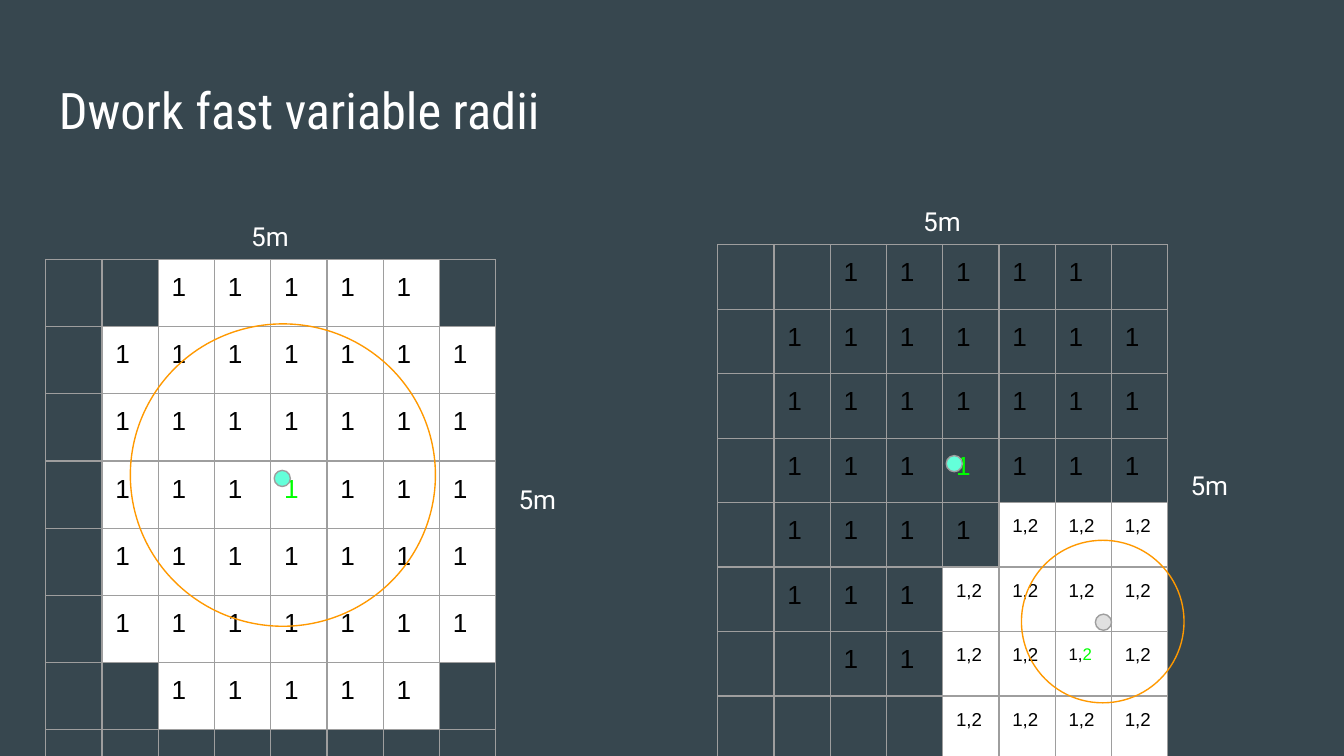
from lxml import etree
from pptx import Presentation
from pptx.dml.color import RGBColor
from pptx.enum import shapes
from pptx.oxml.ns import qn
from pptx.util import Inches, Pt

SLATE = RGBColor(0x37, 0x47, 0x4F)
WHITE = RGBColor(0xFF, 0xFF, 0xFF)
BLACK = RGBColor(0x00, 0x00, 0x00)
GREEN = RGBColor(0x00, 0xFF, 0x00)
GRAY = RGBColor(0x9E, 0x9E, 0x9E)
LIGHT_GRAY = RGBColor(0xE0, 0xE0, 0xE0)
AQUA = RGBColor(0x64, 0xFF, 0xDA)
ORANGE = RGBColor(0xFF, 0x99, 0x00)

# Symbol in a grid: (cell fill, runs of text, size and colour)
CELLS = {
    ".": (None, []),
    "d": (None, [("1", 14, BLACK)]),
    "D": (None, [("1", 14, GREEN)]),
    "w": (WHITE, [("1", 14, BLACK)]),
    "W": (WHITE, [("1", 14, GREEN)]),
    "b": (WHITE, [("1,2", 10, BLACK)]),
    "B": (WHITE, [("1,", 9, BLACK), ("2", 9, GREEN)]),
}
RIGHT_GRID = [
    "..ddddd.",
    ".ddddddd",
    ".ddddddd",
    ".dddDddd",
    ".ddddbbb",
    ".dddbbbb",
    "..ddbbBb",
    "....bbbb",
]
LEFT_GRID = [
    "..wwwww.",
    ".wwwwwww",
    ".wwwwwww",
    ".wwwWwww",
    ".wwwwwww",
    ".wwwwwww",
    "..wwwww.",
    "........",
]
# Grid, left, top, row height
PANELS = [
    (RIGHT_GRID, 5.34, 1.82, 0.48),
    (LEFT_GRID, 0.34, 1.93, 0.5),
]
GRID_WIDTH = 3.35
DOT = 0.12
# Left, top, width, height, fill, line
CIRCLES = [
    (8.15, 4.57, DOT, DOT, LIGHT_GRAY, GRAY),
    (0.97, 2.41, 2.27, 2.25, None, ORANGE),
    (7.6, 4.02, 1.21, 1.21, None, ORANGE),
]


def add_runs(paragraph, runs, font_name):
    for text, size, color in runs:
        run = paragraph.add_run()
        run.text = text
        run.font.name = font_name
        run.font.size = Pt(size)
        run.font.color.rgb = color


def add_text(slide, box, text, size, font_name):
    frame = slide.shapes.add_textbox(*map(Inches, box)).text_frame
    frame.word_wrap = True
    frame.margin_top = frame.margin_bottom = Inches(0.1)
    add_runs(frame.paragraphs[0], [(text, size, WHITE)], font_name)


def add_borders(cell):
    properties = cell._tc.get_or_add_tcPr()
    for position, side in enumerate(("lnL", "lnR", "lnT", "lnB")):
        line = etree.Element(qn(f"a:{side}"), w=str(Pt(0.75)))
        fill = etree.SubElement(line, qn("a:solidFill"))
        etree.SubElement(fill, qn("a:srgbClr"), val=str(GRAY))
        properties.insert(position, line)


def fill_cell(cell, symbol):
    fill, runs = CELLS[symbol]
    cell.margin_top = cell.margin_bottom = Inches(0.1)
    if fill is None:
        cell.fill.background()
    else:
        cell.fill.solid()
        cell.fill.fore_color.rgb = fill
    paragraph = cell.text_frame.paragraphs[0]
    add_runs(paragraph, runs, "Arial")
    if not runs:  # keeps an empty cell from stretching its row
        etree.SubElement(paragraph._p, qn("a:endParaRPr"), sz="1400")
    add_borders(cell)


def add_grid(slide, grid, left, top, row_height):
    table = slide.shapes.add_table(
        len(grid), len(grid[0]), Inches(left), Inches(top),
        Inches(GRID_WIDTH), Inches(row_height * len(grid))).table
    table.first_row = table.horz_banding = False
    for row, symbols in enumerate(grid):
        for column, symbol in enumerate(symbols):
            fill_cell(table.cell(row, column), symbol)


def add_circle(slide, left, top, width, height, fill, line):
    circle = slide.shapes.add_shape(
        shapes.MSO_SHAPE.OVAL, *map(Inches, (left, top, width, height)))
    circle.shadow.inherit = False
    if fill is None:
        circle.fill.background()
    else:
        circle.fill.solid()
        circle.fill.fore_color.rgb = fill
    circle.line.color.rgb = line
    circle.line.width = Pt(0.75)


def main():
    presentation = Presentation()
    presentation.slide_width = Inches(10)
    presentation.slide_height = Inches(10 * 9 / 16)
    slide = presentation.slides.add_slide(presentation.slide_layouts[6])
    slide.background.fill.solid()
    slide.background.fill.fore_color.rgb = SLATE

    add_text(slide, (0.34, 0.49, 9.32, 0.63), "Dwork fast variable radii",
             27, "Roboto Condensed")
    for grid, left, top, row_height in PANELS:
        add_grid(slide, grid, left, top, row_height)
        for dx, dy in ((3.42, 1.57), (1.43, -0.39)):
            add_text(slide, (left + dx, top + dy, 0.48, 0.67), "5m", 14, "Roboto")
        add_circle(slide, left + 1.7, top + 1.57, DOT, DOT, AQUA, GRAY)
    for circle in CIRCLES:
        add_circle(slide, *circle)

    presentation.save("out.pptx")


if __name__ == "__main__":
    main()
